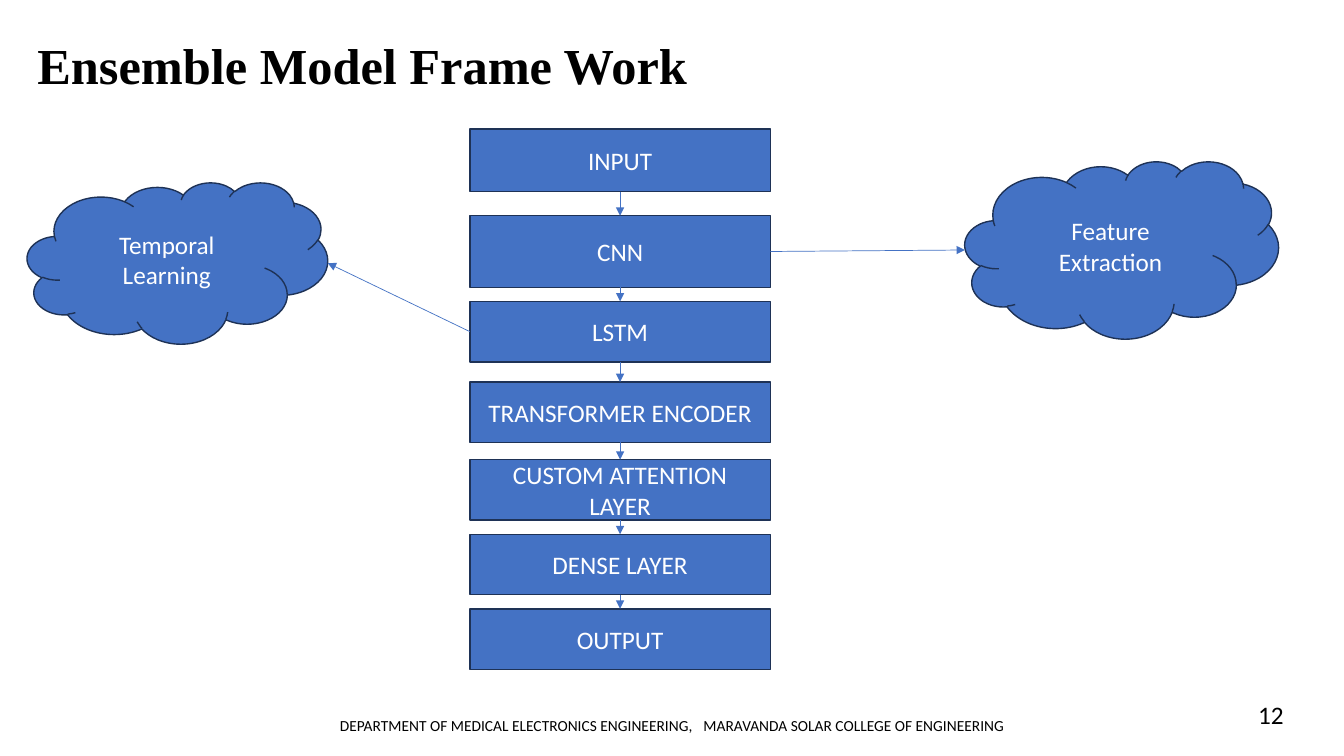
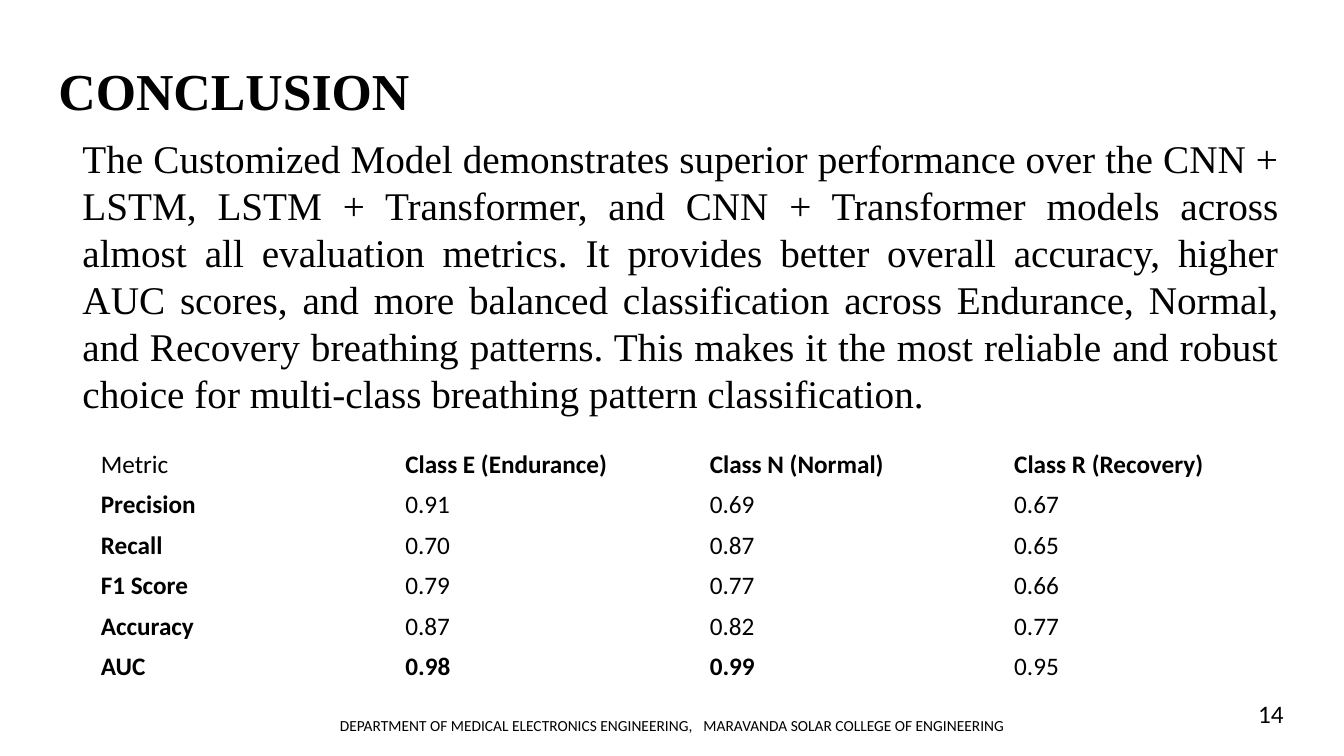
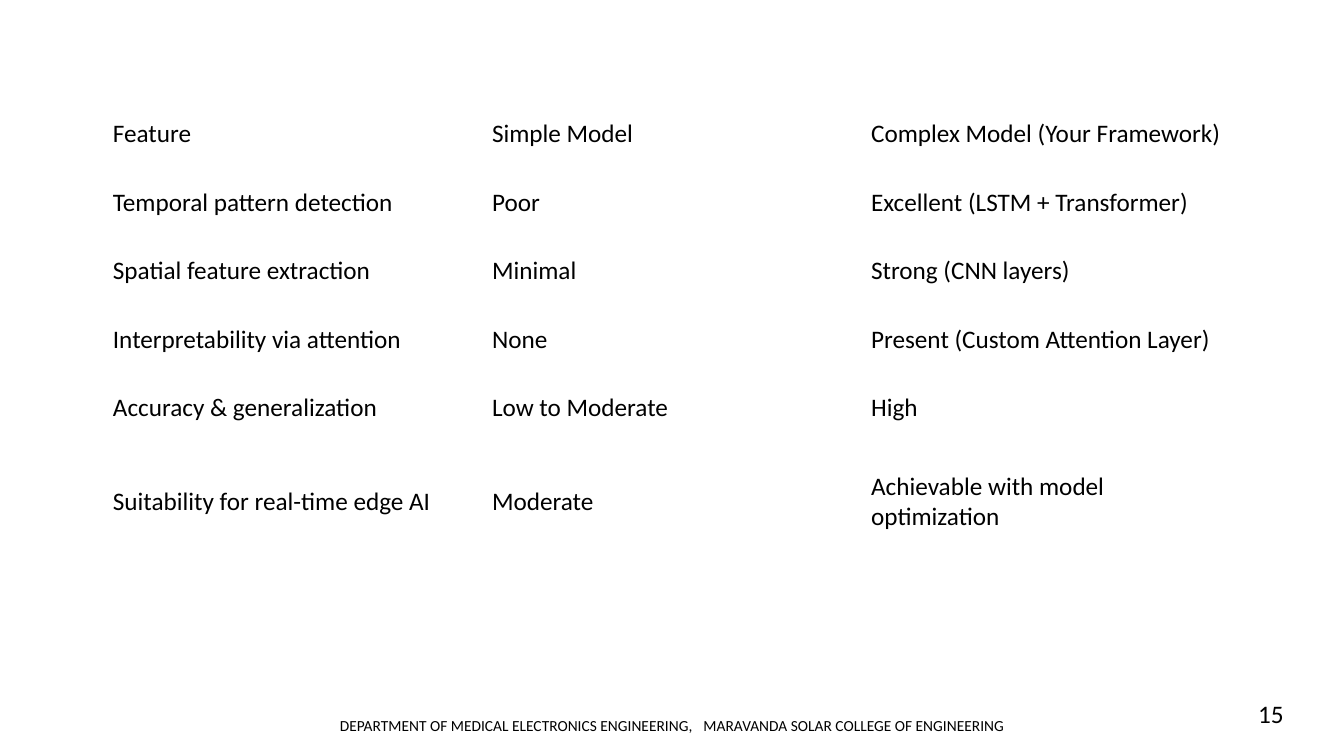
from dataclasses import dataclass

from lxml import etree
from pptx import Presentation
from pptx.dml.color import RGBColor
from pptx.enum.shapes import MSO_CONNECTOR, MSO_SHAPE
from pptx.enum.text import MSO_ANCHOR, PP_ALIGN
from pptx.oxml.ns import qn
from pptx.util import Inches, Pt

LEFT, CENTER, JUSTIFY = PP_ALIGN.LEFT, PP_ALIGN.CENTER, PP_ALIGN.JUSTIFY
TOP, MIDDLE = MSO_ANCHOR.TOP, MSO_ANCHOR.MIDDLE
RECTANGLE, CLOUD = MSO_SHAPE.RECTANGLE, MSO_SHAPE.CLOUD
STRAIGHT = MSO_CONNECTOR.STRAIGHT
TITLE_ONLY, BLANK = 5, 6
SITE_TOP, SITE_LEFT, SITE_BOTTOM, SITE_RIGHT = range(4)


@dataclass(frozen=True)
class Theme:
    ink: str = "000000"
    paper: str = "FFFFFF"
    accent: str = "4472C4"
    outline: str = "1E3256"
    heading_font: str = "Times New Roman"
    label_font: str = "Calibri"
    framework_title: int = 36
    conclusion_title: int = 37
    body: int = 28
    label: int = 18
    footer: int = 11
    footer_gap: int = 5
    outline_width: float = 1
    arrow_width: float = 0.5


THEME = Theme()

# Content; boxes are left, top, width, height in inches
FOOTER = ("DEPARTMENT OF MEDICAL ELECTRONICS ENGINEERING,",
          "MARAVANDA SOLAR COLLEGE OF ENGINEERING")
FOOTER_BOX = (1.52, 7, 10.29, 0.4)

LAYER_LEFT, LAYER_WIDTH = 4.66, 2.98
LAYERS = [  # name, top, height
    ("INPUT", 1.28, 0.62),
    ("CNN", 2.14, 0.71),
    ("LSTM", 2.99, 0.6),
    ("TRANSFORMER ENCODER", 3.79, 0.6),
    ("CUSTOM ATTENTION LAYER", 4.56, 0.6),
    ("DENSE LAYER", 5.3, 0.6),
    ("OUTPUT", 6.04, 0.6),
]
ROLES = [  # layer, what it does, cloud box
    ("CNN", "Feature Extraction", (9.57, 1.6, 3.11, 1.76)),
    ("LSTM", "Temporal Learning", (0.27, 1.81, 2.98, 1.6)),
]

CONCLUSION = (
    "The Customized Model demonstrates superior performance over the CNN + LSTM, "
    "LSTM + Transformer, and CNN + Transformer models across almost all evaluation "
    "metrics. It provides better overall accuracy, higher AUC scores, and more "
    "balanced classification across Endurance, Normal, and Recovery breathing "
    "patterns. This makes it the most reliable and robust choice for multi-class "
    "breathing pattern classification.")
METRICS = [
    ("Metric", "Class E (Endurance)", "Class N (Normal)", "Class R (Recovery)"),
    ("Precision", "0.91", "0.69", "0.67"),
    ("Recall", "0.70", "0.87", "0.65"),
    ("F1 Score", "0.79", "0.77", "0.66"),
    ("Accuracy", "0.87", "0.82", "0.77"),
    ("AUC", "0.98", "0.99", "0.95"),
]
BEST_SCORES = {"0.98", "0.99"}

COMPARISON = [
    ("Feature", "Simple Model", "Complex Model (Your Framework)"),
    ("Temporal pattern detection", "Poor", "Excellent (LSTM + Transformer)"),
    ("Spatial feature extraction", "Minimal", "Strong (CNN layers)"),
    ("Interpretability via attention", "None", "Present (Custom Attention Layer)"),
    ("Accuracy & generalization", "Low to Moderate", "High"),
    ("Suitability for real-time edge AI", "Moderate",
     "Achievable with model optimization"),
]


def rgb(color):
    return RGBColor.from_string(color)


def inches(box):
    return [Inches(length) for length in box]


def write(frame, text, *, size=THEME.label, font=THEME.label_font, color=THEME.ink,
          bold=False, align=LEFT, anchor=TOP, inset=None):
    """Fill a text frame with one paragraph and return its run."""
    frame.word_wrap = True
    frame.vertical_anchor = anchor
    if inset is not None:
        frame.margin_left = frame.margin_right = Inches(inset)
        frame.margin_top = frame.margin_bottom = Inches(inset)
    paragraph = frame.paragraphs[0]
    paragraph.alignment = align
    paragraph.font.size = Pt(size)
    run = paragraph.add_run()
    run.text = text
    run.font.size, run.font.name, run.font.bold = Pt(size), font, bold
    run.font.color.rgb = rgb(color)
    return run


def add_text(slide, box, text, **style):
    frame = slide.shapes.add_textbox(*inches(box)).text_frame
    return frame, write(frame, text, **style)


def add_title(slide, box, text, **style):
    title = slide.shapes.title
    title.left, title.top, title.width, title.height = inches(box)
    write(title.text_frame, text, font=THEME.heading_font, bold=True, **style)


def add_block(slide, preset, box, text):
    block = slide.shapes.add_shape(preset, *inches(box))
    block.shadow.inherit = False
    block.fill.solid()
    block.fill.fore_color.rgb = rgb(THEME.accent)
    block.line.color.rgb = rgb(THEME.outline)
    block.line.width = Pt(THEME.outline_width)
    write(block.text_frame, text, color=THEME.paper, align=CENTER, anchor=MIDDLE)
    return block


def add_arrow(slide, source, site, end_x, end_y):
    """Draw an arrow from a connection site of source to a point."""
    arrow = slide.shapes.add_connector(STRAIGHT, end_x, end_y, end_x, end_y)
    arrow.begin_connect(source, site)
    arrow.line.color.rgb = rgb(THEME.accent)
    arrow.line.width = Pt(THEME.arrow_width)
    etree.SubElement(arrow.line._get_or_add_ln(), qn("a:tailEnd"), type="triangle")
    etree.SubElement(arrow._element.spPr, qn("a:effectLst"))
    return arrow


def add_grid(slide, left, top, column_width, row_heights, rows, is_bold):
    columns = len(rows[0])
    box = (left, top, column_width * columns, sum(row_heights))
    table = slide.shapes.add_table(len(rows), columns, *inches(box)).table
    table.first_row = table.horz_banding = False
    for column in table.columns:
        column.width = Inches(column_width)
    for r, (height, values) in enumerate(zip(row_heights, rows)):
        table.rows[r].height = Inches(height)
        for c, value in enumerate(values):
            cell = table.cell(r, c)
            cell.fill.background()
            cell.vertical_anchor = MIDDLE
            write(cell.text_frame, value, bold=is_bold(r, c, value), anchor=None)


def add_footer(slide, number, number_box):
    department, college = FOOTER
    style = dict(size=THEME.footer, align=CENTER, anchor=MIDDLE)
    frame, _ = add_text(slide, FOOTER_BOX, department, **style)
    gap = write(frame, " ", **style)
    gap.font._element.set("spc", str(THEME.footer_gap * 100))
    write(frame, college, **style)
    add_text(slide, number_box, number)


def build_framework(slide):
    add_title(slide, (0.27, 0.29, 12.48, 0.71), "Ensemble Model Frame Work",
              size=THEME.framework_title)
    layers = {name: add_block(slide, RECTANGLE,
                              (LAYER_LEFT, top, LAYER_WIDTH, height), name)
              for name, top, height in LAYERS}

    # Flow from each layer to the next
    stack = list(layers.values())
    for upper, lower in zip(stack, stack[1:]):
        flow = add_arrow(slide, upper, SITE_BOTTOM,
                         lower.left + lower.width // 2, lower.top)
        flow.end_connect(lower, SITE_TOP)

    # Roles, each reached from the facing side of its layer
    for name, role, box in ROLES:
        layer = layers[name]
        cloud = add_block(slide, CLOUD, box, role)
        on_right = cloud.left > layer.left
        add_arrow(slide, layer, SITE_RIGHT if on_right else SITE_LEFT,
                  cloud.left if on_right else cloud.left + cloud.width,
                  cloud.top + cloud.height // 2)
    add_footer(slide, "12", (12.38, 6.89, 0.56, 0.4))


def build_conclusion(slide):
    add_title(slide, (0.45, 0.45, 12.42, 0.83), "CONCLUSION",
              size=THEME.conclusion_title, inset=0.13)
    add_text(slide, (0.72, 1.28, 12.06, 2.93), CONCLUSION, size=THEME.body,
             font=THEME.heading_font, align=JUSTIFY)
    # Headings are bold except the corner cell; so are the best scores
    add_grid(slide, 0.9, 4.41, 3.02, [0.4] * len(METRICS), METRICS,
             lambda r, c, value: (r == 0) != (c == 0) or value in BEST_SCORES)
    add_footer(slide, "14", (12.38, 6.88, 0.5, 0.4))


def build_comparison(slide):
    heights = [0.68] * (len(COMPARISON) - 1) + [1.18]
    add_grid(slide, 1.02, 0.99, 3.76, heights, COMPARISON,
             lambda r, c, value: False)
    add_footer(slide, "15", (12.38, 6.88, 0.6, 0.4))


def main():
    deck = Presentation()
    deck.slide_width, deck.slide_height = Inches(13.33), Inches(7.5)
    for layout, build in ((TITLE_ONLY, build_framework),
                          (TITLE_ONLY, build_conclusion),
                          (BLANK, build_comparison)):
        build(deck.slides.add_slide(deck.slide_layouts[layout]))
    deck.save("out.pptx")


if __name__ == "__main__":
    main()
